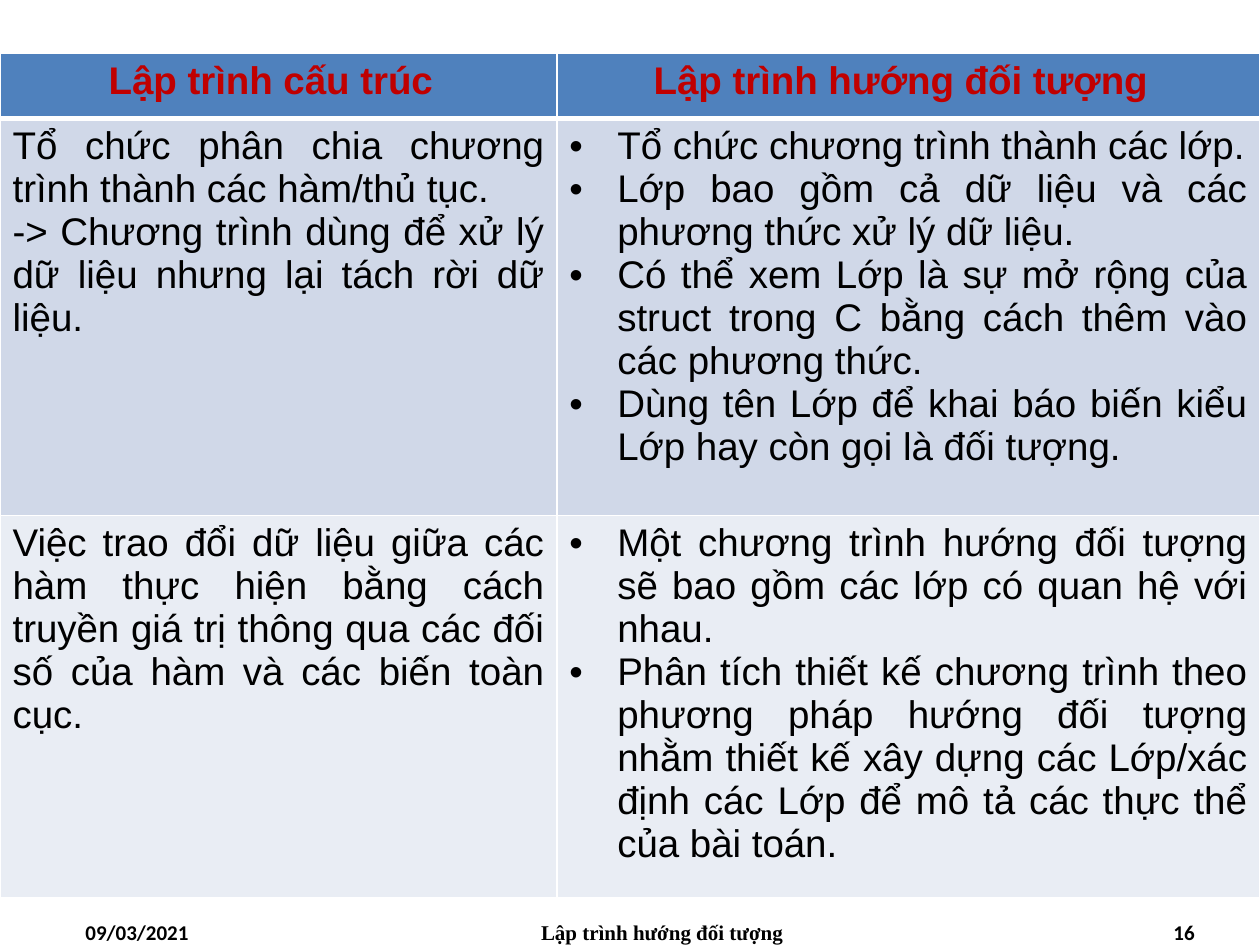
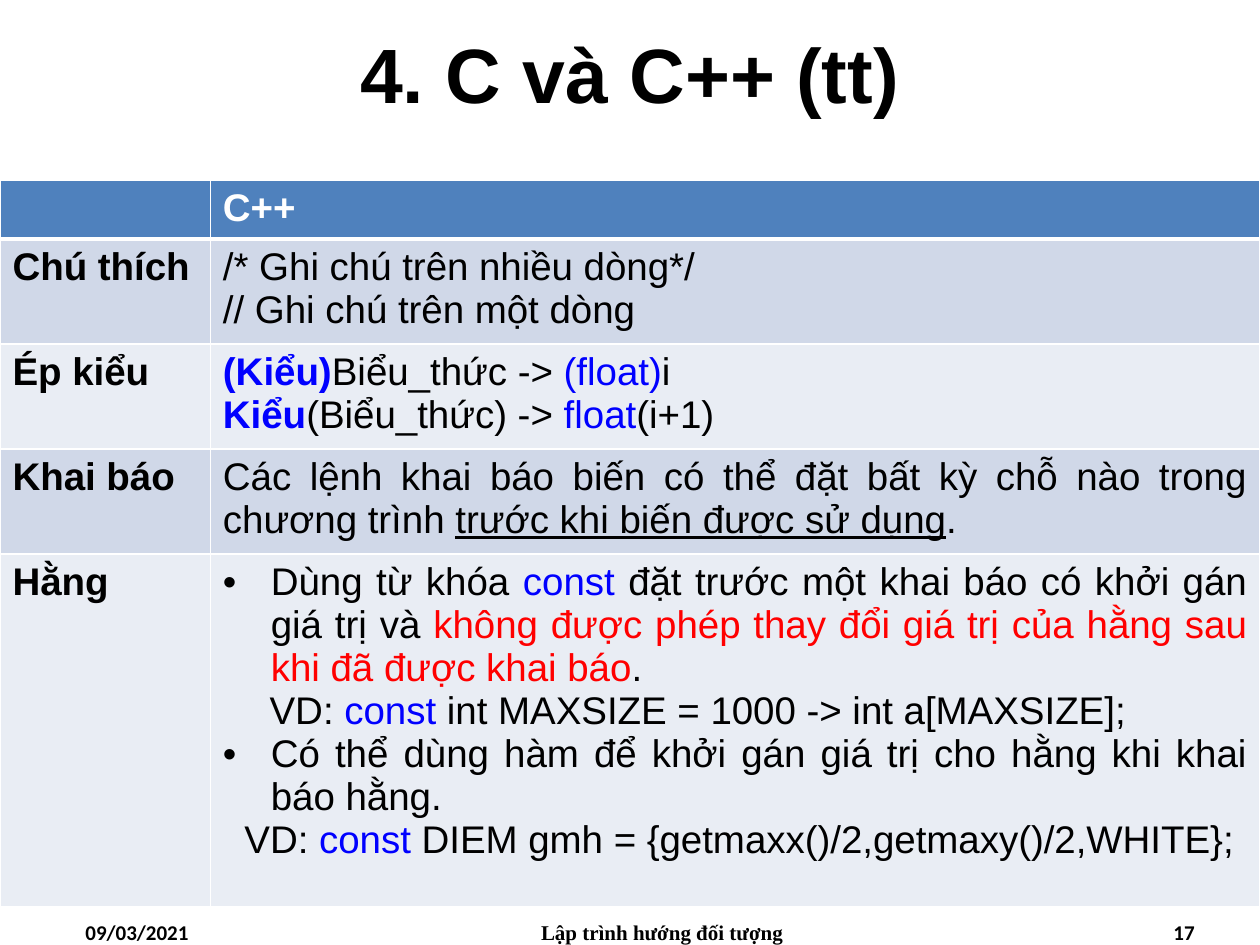
from lxml import etree
from pptx import Presentation
from pptx.dml.color import RGBColor
from pptx.enum import text
from pptx.oxml import ns
from pptx.util import Inches, Pt

BLACK, WHITE, BLUE, RED, DARK_RED = "000000", "FFFFFF", "0000FF", "FF0000", "C00000"
HEADER_FILL = "4F81BD"
BAND_FILLS = ("D0D8E8", "E9EDF4")
BODY_FONT = "Arial"
CELL_SIZE = 22
LEFT, CENTER, RIGHT, JUSTIFY = (
    text.PP_ALIGN.LEFT, text.PP_ALIGN.CENTER, text.PP_ALIGN.RIGHT, text.PP_ALIGN.JUSTIFY)

RUN_STYLES = {
    "keyword": {"color": BLUE},
    "type": {"color": BLUE, "bold": True},
    "warning": {"color": RED},
    "underline": {"underline": True},
}
PARAGRAPH_STYLES = {
    "plain": (0, 0, False),
    "bullet": (0.38, -0.38, True),
    "example": (0.37, 0, False),
    "wide example": (0.17, 0, False),
}


def plain(*runs):
    return "plain", runs


def bullet(*runs):
    return "bullet", runs


DATE = "09/03/2021"
COURSE = "Lập trình hướng đối tượng"

SLIDES = [
    {
        "number": 16,
        "title": None,
        "top": 0.42,
        "columns": (4.42, 5.58),
        "rows": (0.52, 3.15, 2.92),
        "header": {"color": DARK_RED, "align": CENTER, "right_margin": 0.22},
        "bold_labels": False,
        "cells": [
            [[plain("Lập trình cấu trúc")], [plain("Lập trình hướng đối tượng")]],
            [
                [
                    plain("Tổ chức phân chia chương trình thành các hàm/thủ tục."),
                    plain("-> Chương trình dùng để xử lý dữ liệu nhưng lại tách rời dữ liệu."),
                ],
                [
                    bullet("Tổ chức chương trình thành các lớp."),
                    bullet("Lớp bao gồm cả dữ liệu và các phương thức xử lý dữ liệu."),
                    bullet("Có thể xem Lớp là sự mở rộng của struct trong C bằng cách "
                           "thêm vào các phương thức."),
                    bullet("Dùng tên Lớp để khai báo biến kiểu Lớp hay còn gọi là đối tượng."),
                ],
            ],
            [
                [plain("Việc trao đổi dữ liệu giữa các hàm thực hiện bằng cách truyền giá trị "
                       "thông qua các đối số của hàm và các biến toàn cục.")],
                [
                    bullet("Một chương trình hướng đối tượng sẽ bao gồm các lớp có quan hệ "
                           "với nhau."),
                    bullet("Phân tích thiết kế chương trình theo phương pháp hướng đối tượng "
                           "nhằm thiết kế xây dựng các Lớp/xác định các Lớp để mô tả các "
                           "thực thể của bài toán."),
                ],
            ],
        ],
    },
    {
        "number": 17,
        "title": "4. C và C++ (tt)",
        "top": 1.43,
        "columns": (1.67, 8.33),
        "rows": (0.45, 0.8, 0.8, 0.8, 2.8),
        "header": {"color": WHITE, "align": JUSTIFY, "right_margin": 0.1},
        "bold_labels": True,
        "cells": [
            [[], [plain("C++")]],
            [
                [plain("Chú thích")],
                [plain("/* Ghi chú trên nhiều dòng*/"), plain("// Ghi chú trên một dòng")],
            ],
            [
                [plain("Ép kiểu")],
                [
                    plain(("(Kiểu)", "type"), "Biểu_thức -> ", ("(float)", "keyword"), "i"),
                    plain(("Kiểu", "type"), "(Biểu_thức) -> ", ("float", "keyword"), "(i+1)"),
                ],
            ],
            [
                [plain("Khai báo")],
                [plain("Các lệnh khai báo biến có thể đặt bất kỳ chỗ nào trong chương trình ",
                       ("trước khi biến được sử dụng", "underline"), ".")],
            ],
            [
                [plain("Hằng")],
                [
                    bullet("Dùng từ khóa ", ("const", "keyword"),
                           " đặt trước một khai báo có khởi gán giá trị và ",
                           ("không được phép thay đổi giá trị của hằng sau khi đã được khai báo",
                            "warning"), "."),
                    ("example", ("VD: ", ("const", "keyword"),
                                 " int MAXSIZE = 1000 -> int a[MAXSIZE];")),
                    bullet("Có thể dùng hàm để khởi gán giá trị cho hằng khi khai báo hằng."),
                    ("wide example", ("VD: ", ("const", "keyword"),
                                      " DIEM gmh = {getmaxx()/2,getmaxy()/2,WHITE};")),
                ],
            ],
        ],
    },
]


def rgb(value):
    return RGBColor.from_string(value)


def set_font(font, name, size, color, bold):
    font.name, font.size, font.bold = name, Pt(size), bold
    font.color.rgb = rgb(color)


def add_footer(page, number):
    items = (
        (0.58, 2.33, LEFT, "Calibri", DATE),
        (3.67, 3.17, CENTER, "Times New Roman", COURSE),
        (7.25, 2.33, RIGHT, "Calibri", str(number)),
    )
    for left, width, align, font, words in items:
        box = page.shapes.add_textbox(Inches(left), Inches(7.25), Inches(width), Inches(0.25))
        box.text_frame.word_wrap = True
        para = box.text_frame.paragraphs[0]
        para.text, para.alignment = words, align
        set_font(para.font, font, 12, BLACK, True)


def add_title(page, words):
    title = page.shapes.title
    title.left, title.top, title.width, title.height = map(Inches, (0, -0.01, 10, 1.17))
    title.text_frame.text = words
    title.text_frame.vertical_anchor = text.MSO_ANCHOR.MIDDLE
    para = title.text_frame.paragraphs[0]
    para.alignment = CENTER
    set_font(para.font, BODY_FONT, 44, BLACK, True)


def set_borders(cell, row):
    properties = cell._tc.get_or_add_tcPr()
    widths = {"lnL": 1, "lnR": 1, "lnT": 3 if row == 1 else 1, "lnB": 3 if row == 0 else 1}
    for side, width in widths.items():
        line = etree.SubElement(properties, ns.qn("a:" + side), w=str(Pt(width)))
        fill = etree.SubElement(line, ns.qn("a:solidFill"))
        etree.SubElement(fill, ns.qn("a:srgbClr"), val=WHITE)


def set_indent(para, margin, indent, has_bullet):
    properties = para._p.get_or_add_pPr()
    properties.set("marL", str(Inches(margin)))
    properties.set("indent", str(Inches(indent)))
    if has_bullet:
        etree.SubElement(properties, ns.qn("a:buFont"), typeface=BODY_FONT)
        etree.SubElement(properties, ns.qn("a:buChar"), char="•")


def write_cell(cell, paragraphs, color, bold, align):
    frame = cell.text_frame
    for index, (kind, runs) in enumerate(paragraphs):
        para = frame.add_paragraph() if index else frame.paragraphs[0]
        para.alignment = align
        set_indent(para, *PARAGRAPH_STYLES[kind])
        for run in runs:
            words, style = (run, None) if isinstance(run, str) else run
            look = {"color": color, "bold": bold, **RUN_STYLES.get(style, {})}
            span = para.add_run()
            span.text = words
            set_font(span.font, BODY_FONT, CELL_SIZE, look["color"], look["bold"])
            span.font.underline = look.get("underline")


def add_comparison(page, content):
    columns, rows, header = content["columns"], content["rows"], content["header"]
    table = page.shapes.add_table(
        len(rows), len(columns), 0, Inches(content["top"]),
        Inches(sum(columns)), Inches(sum(rows))).table
    for column, width in zip(table.columns, columns):
        column.width = Inches(width)
    for table_row, height in zip(table.rows, rows):
        table_row.height = Inches(height)
    for row, line in enumerate(content["cells"]):
        for column, paragraphs in enumerate(line):
            cell = table.cell(row, column)
            set_borders(cell, row)
            cell.fill.solid()
            if row == 0:
                cell.fill.fore_color.rgb = rgb(HEADER_FILL)
                cell.margin_right = Inches(header["right_margin"])
                write_cell(cell, paragraphs, header["color"], True, header["align"])
            else:
                cell.fill.fore_color.rgb = rgb(BAND_FILLS[(row - 1) % 2])
                bold = content["bold_labels"] and column == 0
                write_cell(cell, paragraphs, BLACK, bold, JUSTIFY)


def main():
    deck = Presentation()
    deck.slide_width, deck.slide_height = Inches(10), Inches(7.5)
    title_only, blank = deck.slide_layouts[5], deck.slide_layouts[6]
    for content in SLIDES:
        page = deck.slides.add_slide(title_only if content["title"] else blank)
        add_footer(page, content["number"])
        if content["title"]:
            add_title(page, content["title"])
        add_comparison(page, content)
    deck.save("out.pptx")


if __name__ == "__main__":
    main()
